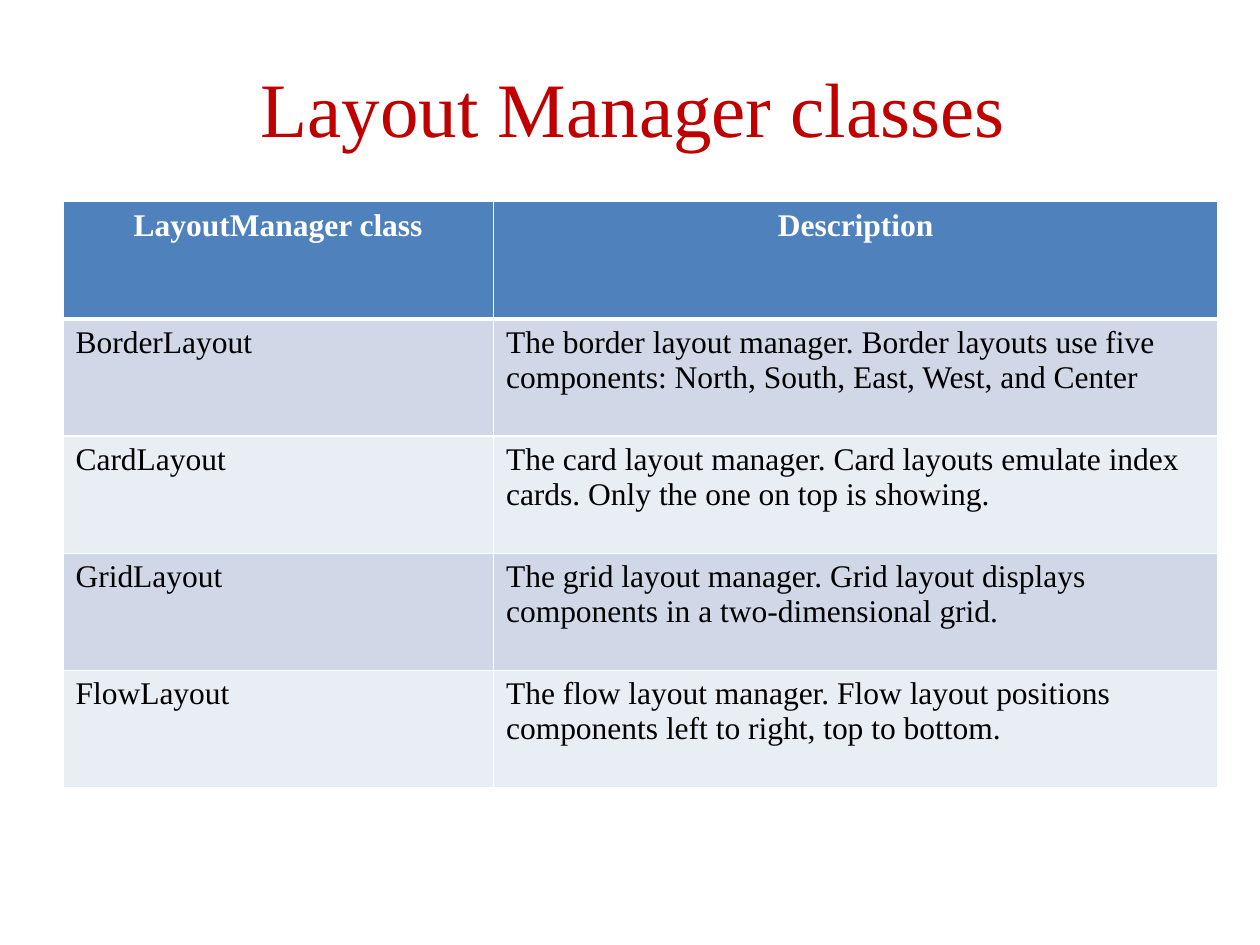
import pptx
import pptx.dml.color
import pptx.enum.text
import pptx.oxml
import pptx.oxml.ns
import pptx.util

Pt = pptx.util.Pt
RGB = pptx.dml.color.RGBColor
Align = pptx.enum.text.PP_ALIGN
Anchor = pptx.enum.text.MSO_ANCHOR

RED = RGB(0xC0, 0x00, 0x00)
BLUE = RGB(0x4F, 0x81, 0xBD)
BANDS = RGB(0xD0, 0xD8, 0xE8), RGB(0xE9, 0xED, 0xF4)
WHITE = RGB(0xFF, 0xFF, 0xFF)
BLACK = RGB(0x00, 0x00, 0x00)

ROWS = [
    ("LayoutManager class", "Description"),
    ("BorderLayout", "The border layout manager. Border layouts use five "
     "components: North, South, East, West, and Center"),
    ("CardLayout", "The card layout manager. Card layouts emulate index "
     "cards. Only the one on top is showing."),
    ("GridLayout", "The grid layout manager. Grid layout displays "
     "components in a two-dimensional grid."),
    ("FlowLayout", "The flow layout manager. Flow layout positions "
     "components left to right, top to bottom."),
]


class Deck:
    face = "Times New Roman"

    def __init__(self, wide, high):
        self.prs = pptx.Presentation()
        self.prs.slide_width, self.prs.slide_height = Pt(wide), Pt(high)
        self.slide = self.prs.slides.add_slide(self.prs.slide_layouts[6])

    def label(self, frame, text, size, color, align, bold=False):
        para = frame.paragraphs[0]
        para.text = text
        para.alignment = align
        font = para.font
        font.name, font.size, font.bold = self.face, Pt(size), bold
        font.color.rgb = color

    def title(self, text, left, top, wide, high):
        box = self.slide.shapes.add_textbox(Pt(left), Pt(top), Pt(wide), Pt(high))
        frame = box.text_frame
        frame.word_wrap = True
        frame.vertical_anchor = Anchor.MIDDLE
        self.label(frame, text, 44, RED, Align.CENTER)

    def edge(self, cell, **widths):
        """Draw white cell borders; keys are L, R, T, B in schema order."""
        props = cell._tc.get_or_add_tcPr()
        for side, width in widths.items():
            props.append(pptx.oxml.parse_xml(
                f'<a:ln{side} {pptx.oxml.ns.nsdecls("a")} w="{Pt(width)}">'
                f'<a:solidFill><a:srgbClr val="{WHITE}"/></a:solidFill>'
                f'</a:ln{side}>'))

    def table(self, rows, left, top, cols, high):
        grid = self.slide.shapes.add_table(
            len(rows), len(cols), Pt(left), Pt(top),
            Pt(sum(cols)), Pt(high * len(rows))).table
        for col, wide in zip(grid.columns, cols):
            col.width = Pt(wide)
        for i, texts in enumerate(rows):
            grid.rows[i].height = Pt(high)
            head = i == 0
            for j, text in enumerate(texts):
                cell = grid.cell(i, j)
                self.edge(cell, L=1, R=1, T=3 if i == 1 else 1, B=3 if head else 1)
                cell.fill.solid()
                cell.fill.fore_color.rgb = BLUE if head else BANDS[(i - 1) % 2]
                self.label(cell.text_frame, text, 18, WHITE if head else BLACK,
                           Align.CENTER if head else Align.LEFT, head)


def main():
    deck = Deck(720, 540)
    deck.title("Layout Manager classes", 39.6, 19.5, 644.4, 82.8)
    deck.table(ROWS, 36, 115.2, (246, 414), 67)
    deck.prs.save("out.pptx")


if __name__ == "__main__":
    main()
